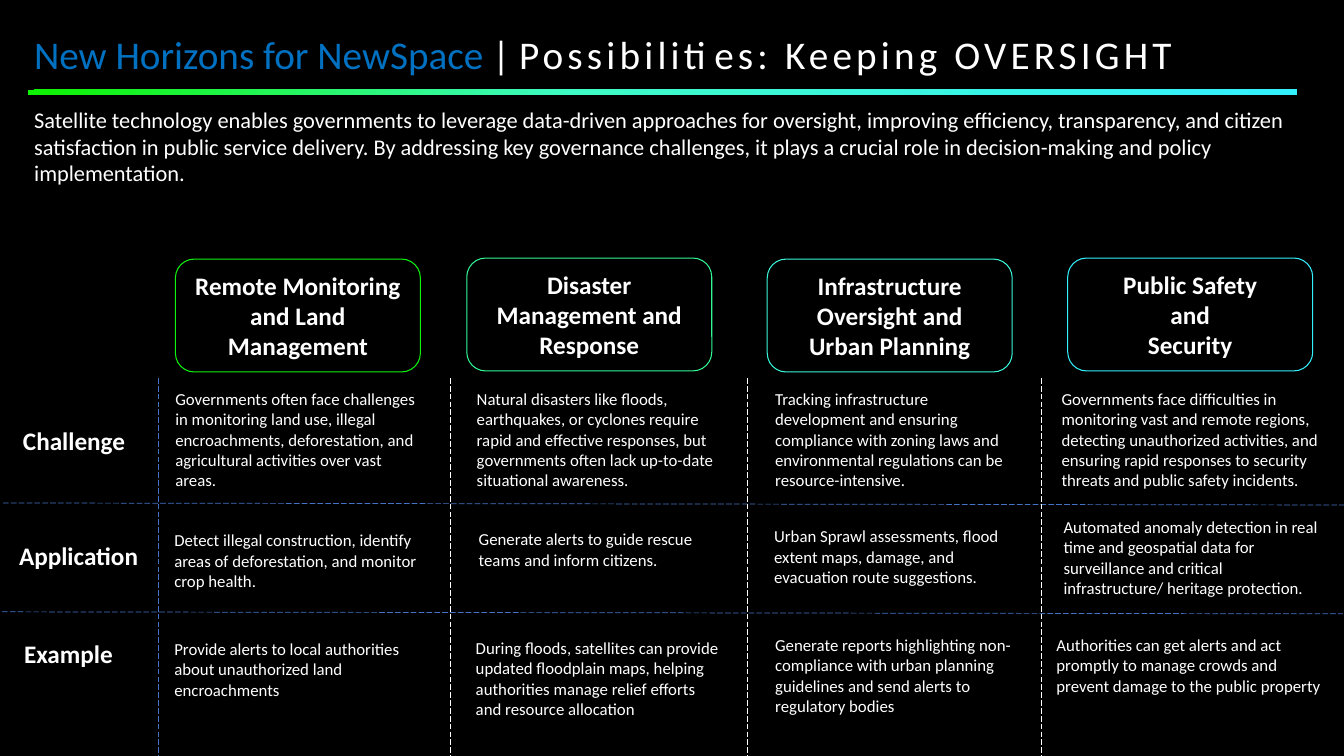
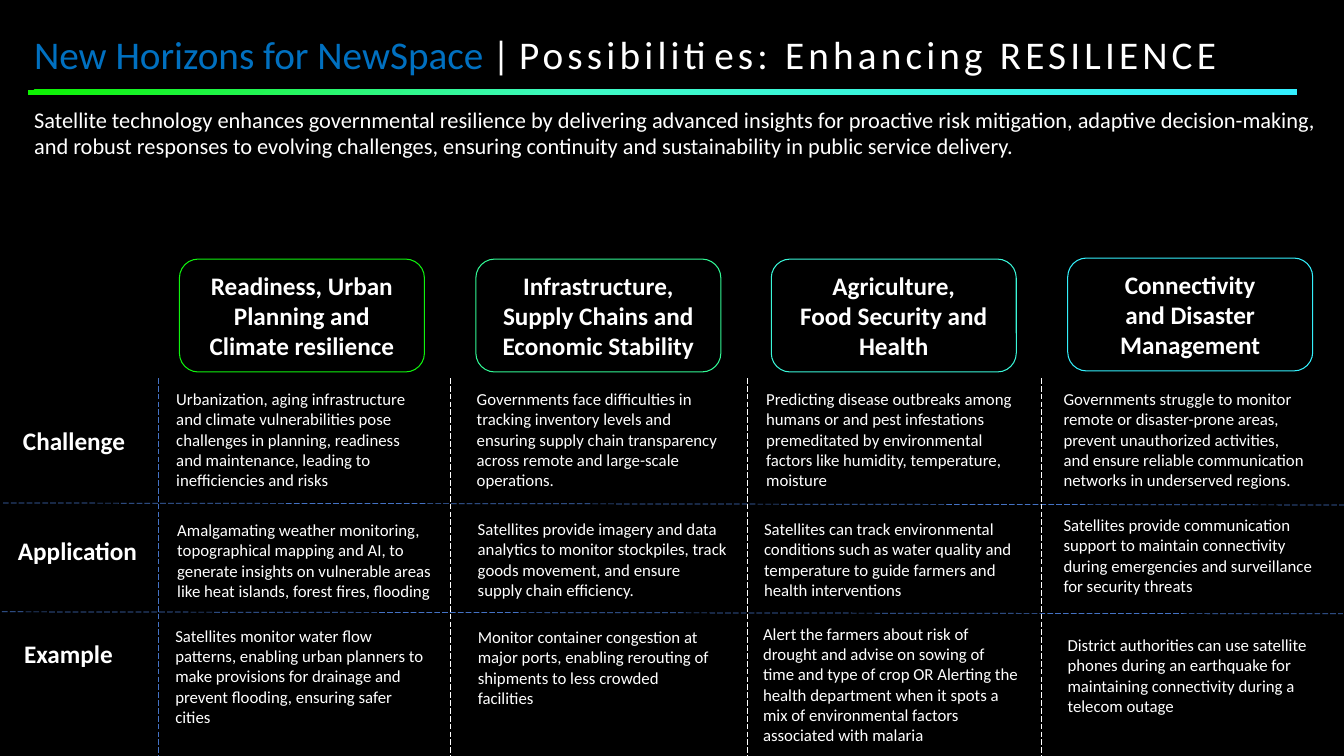
from dataclasses import dataclass

from lxml import etree
from pptx import Presentation
from pptx.dml.color import RGBColor
from pptx.enum.dml import MSO_LINE
from pptx.enum.shapes import MSO_CONNECTOR, MSO_SHAPE
from pptx.enum.text import MSO_ANCHOR, MSO_AUTO_SIZE, PP_ALIGN
from pptx.oxml import parse_xml
from pptx.oxml.ns import qn
from pptx.util import Pt

LONG_DASH = MSO_LINE.LONG_DASH
STRAIGHT = MSO_CONNECTOR.STRAIGHT
RECTANGLE, ROUNDED = MSO_SHAPE.RECTANGLE, MSO_SHAPE.ROUNDED_RECTANGLE
BOTTOM, MIDDLE = MSO_ANCHOR.BOTTOM, MSO_ANCHOR.MIDDLE
CENTER, LEFT = PP_ALIGN.CENTER, PP_ALIGN.LEFT
GROW = MSO_AUTO_SIZE.SHAPE_TO_FIT_TEXT
DRAWING = "http://schemas.openxmlformats.org/drawingml/2006/main"

PX = 9144  # 100 px to the inch
SLIDE_WIDTH, SLIDE_HEIGHT = 1333, 750


@dataclass(frozen=True)
class Theme:
    font: str = "Calibri"
    background: str = "000000"
    text: str = "FFFFFF"
    brand: str = "0070C0"
    grid: str = "4472C4"
    headings: tuple = ("10F30E", "32F895", "3AF7D9", "34F0FC")
    bar: tuple = ((0, "33F0FF"), (57, "3EFAC5"), (100, "0DF200"))
    title_size: int = 28
    heading_size: int = 18
    intro_size: int = 16
    body_size: int = 12


THEME = Theme()

# Grid: left edge of each column, top of each row
COLUMNS = (157, 447, 741, 1033)
ROWS = (375, 500, 608)
HEADING_SIZE = (243, 112)


@dataclass(frozen=True)
class Cell:
    """Text with its offset from the corner of its grid cell."""
    dx: int
    dy: int
    width: int
    lines: int
    text: str


@dataclass(frozen=True)
class Column:
    """Heading offset from the top of the column, heading and cells."""
    dx: int
    dy: int
    heading: tuple
    cells: tuple


def color(value):
    return RGBColor.from_string(value)


def px(*lengths):
    return [length * PX for length in lengths]


def style(paragraph, size, bold=False, align=LEFT):
    paragraph.alignment = align
    font = paragraph.font
    font.name, font.size, font.bold = THEME.font, Pt(size), bold
    font.color.rgb = color(THEME.text)


def add_text(slide, box, text, size, bold=False):
    frame = slide.shapes.add_textbox(*px(*box)).text_frame
    frame.word_wrap = True
    frame.auto_size = GROW
    paragraph = frame.paragraphs[0]
    paragraph.text = text
    style(paragraph, size, bold)


def add_dashed_line(slide, start, end, line_color):
    connector = slide.shapes.add_connector(STRAIGHT, *px(*start, *end))
    connector.line.color.rgb = color(line_color)
    connector.line.width = Pt(0.5)
    connector.line.dash_style = LONG_DASH
    etree.SubElement(connector._element.spPr, qn("a:effectLst"))


def add_header(slide, left, topic):
    # Title in three runs
    frame = slide.shapes.add_textbox(*px(left, -1, 1280, 83)).text_frame
    frame.word_wrap = True
    frame.vertical_anchor = BOTTOM
    paragraph = frame.paragraphs[0]
    style(paragraph, THEME.title_size)
    paragraph.line_spacing = 1.2
    paragraph.space_after = Pt(6)
    for text in ("New Horizons for NewSpace ", "| ", f"Possibilities: {topic}"):
        run = paragraph.add_run()
        run.text = text
    paragraph.runs[0].font.color.rgb = color(THEME.brand)
    run._r.get_or_add_rPr().set("spc", "300")

    # Gradient bar, spreading from its right end
    bar = slide.shapes.add_shape(RECTANGLE, *px(left + 4, 89, 1258, 5))
    bar.shadow.inherit = False
    bar.line.fill.background()
    bar.fill.gradient()
    stops = "".join(
        f'<a:gs pos="{position * 1000}"><a:srgbClr val="{value}"/></a:gs>'
        for position, value in THEME.bar)
    gradient = parse_xml(
        f'<a:gradFill xmlns:a="{DRAWING}" rotWithShape="1"><a:gsLst>{stops}</a:gsLst>'
        '<a:path path="circle"><a:fillToRect l="100000" t="100000"/></a:path>'
        '</a:gradFill>')
    properties = bar._element.spPr
    properties.replace(properties.find(qn("a:gradFill")), gradient)


def add_grid(slide, application_box):
    # Row rules, falling slightly to the right
    for left, top in ((3, ROWS[1] - 1), (2, ROWS[2] - 1)):
        add_dashed_line(slide, (left, top), (left + 1330, top + 2), THEME.grid)
    # Column rules
    for index, left in enumerate(COLUMNS):
        line_color = THEME.text if index else THEME.grid
        add_dashed_line(slide, (left, ROWS[0]), (left, SLIDE_HEIGHT), line_color)
    # Row labels
    labels = (("Challenge", (13, 417, 133, 40)),
              ("Application", application_box),
              ("Example", (14, 628, 116, 40)))
    for text, box in labels:
        add_text(slide, box, text, THEME.heading_size, bold=True)


def add_column(slide, left, column, outline):
    # Heading
    box = (left + column.dx, ROWS[0] + column.dy, *HEADING_SIZE)
    shape = slide.shapes.add_shape(ROUNDED, *px(*box))
    shape.shadow.inherit = False
    shape.fill.background()
    shape.line.color.rgb = color(outline)
    shape.line.width = Pt(0.75)
    frame = shape.text_frame
    frame.word_wrap = True
    frame.auto_size = GROW
    frame.vertical_anchor = MIDDLE
    frame.text = "\n".join(column.heading)
    for paragraph in frame.paragraphs:
        style(paragraph, THEME.heading_size, True, CENTER)
    # Challenge, application and example
    for top, cell in zip(ROWS, column.cells):
        height = 10 + round(20.2 * cell.lines)
        add_text(slide, (left + cell.dx, top + cell.dy, cell.width, height),
                 cell.text, THEME.body_size)


def add_possibilities_slide(presentation, topic, intro, intro_lines,
                            application_box, columns):
    slide = presentation.slides.add_slide(presentation.slide_layouts[6])
    add_header(slide, 24, topic)
    add_text(slide, (24, 100, 1309, 10 + 27 * intro_lines), intro, THEME.intro_size)
    add_grid(slide, application_box)
    for left, column, outline in zip(COLUMNS, columns, THEME.headings):
        add_column(slide, left, column, outline)


OVERSIGHT = (
    Column(17, -118, ("Remote Monitoring and Land Management",), (
        Cell(7, 6, 268, 5, "Governments often face challenges in monitoring land use, "
             "illegal encroachments, deforestation, and agricultural activities over "
             "vast areas."),
        Cell(6, 21, 272, 3, "Detect illegal construction, identify areas of "
             "deforestation, and monitor crop health."),
        Cell(6, 21, 262, 3, "Provide alerts to local authorities about unauthorized "
             "land encroachments"))),
    Column(16, -119, ("Disaster Management and Response",), (
        Cell(16, 6, 261, 5, "Natural disasters like floods, earthquakes, or cyclones "
             "require rapid and effective responses, but governments often lack "
             "up-to-date situational awareness."),
        Cell(18, 20, 267, 2, "Generate alerts to guide rescue teams and inform "
             "citizens."),
        Cell(15, 20, 262, 4, "During floods, satellites can provide updated floodplain "
             "maps, helping authorities manage relief efforts and resource "
             "allocation"))),
    Column(20, -118, ("Infrastructure Oversight and Urban Planning",), (
        Cell(18, 6, 263, 5, "Tracking infrastructure development and ensuring "
             "compliance with zoning laws and environmental regulations can be "
             "resource-intensive."),
        Cell(17, 17, 267, 3, "Urban Sprawl assessments, flood extent maps, damage, and "
             "evacuation route suggestions."),
        Cell(18, 17, 263, 4, "Generate reports highlighting non-compliance with urban "
             "planning guidelines and send alerts to regulatory bodies"))),
    Column(26, -119, ("Public Safety", "and", "Security"), (
        Cell(10, 6, 281, 5, "Governments face difficulties in monitoring vast and "
             "remote regions, detecting unauthorized activities, and ensuring rapid "
             "responses to security threats and public safety incidents."),
        Cell(12, 8, 280, 4, "Automated anomaly detection in real time and geospatial "
             "data for surveillance and critical infrastructure/ heritage "
             "protection."),
        Cell(5, 17, 284, 3, "Authorities can get alerts and act promptly to manage "
             "crowds and prevent damage to the public property"))),
)

RESILIENCE = (
    Column(21, -118, ("Readiness, Urban Planning and", "Climate resilience"), (
        Cell(8, 6, 266, 5, "Urbanization, aging infrastructure and climate "
             "vulnerabilities pose challenges in planning, readiness and maintenance, "
             "leading to inefficiencies and risks"),
        Cell(9, 11, 276, 4, "Amalgamating weather monitoring, topographical mapping "
             "and AI, to generate insights on vulnerable areas like heat islands, "
             "forest fires, flooding"),
        Cell(7, 8, 268, 5, "Satellites monitor water flow patterns, enabling urban "
             "planners to make provisions for drainage and prevent flooding, ensuring "
             "safer cities"))),
    Column(25, -118, ("Infrastructure, Supply Chains and Economic Stability",), (
        Cell(16, 6, 261, 5, "Governments face difficulties in tracking inventory "
             "levels and ensuring supply chain transparency across remote and "
             "large-scale operations."),
        Cell(17, 10, 267, 4, "Satellites provide imagery and data analytics to monitor "
             "stockpiles, track goods movement, and ensure supply chain efficiency."),
        Cell(17, 9, 251, 4, "Monitor container congestion at major ports, enabling "
             "rerouting of shipments to less crowded facilities"))),
    Column(24, -118, ("Agriculture,", "Food Security and Health"), (
        Cell(9, 6, 272, 5, "Predicting disease outbreaks among humans or and pest "
             "infestations premeditated by environmental factors like humidity, "
             "temperature, moisture"),
        Cell(7, 10, 267, 4, "Satellites can track environmental conditions such as "
             "water quality and temperature to guide farmers and health "
             "interventions"),
        Cell(6, 6, 274, 6, "Alert the farmers about risk of drought and advise on "
             "sowing of time and type of crop OR Alerting the health department when "
             "it spots a mix of environmental factors associated with malaria"))),
    Column(26, -119, ("Connectivity", "and Disaster Management"), (
        Cell(12, 6, 263, 5, "Governments struggle to monitor remote or disaster-prone "
             "areas, prevent unauthorized activities, and ensure reliable "
             "communication networks in underserved regions."),
        Cell(12, 6, 277, 4, "Satellites provide communication support to maintain "
             "connectivity during emergencies and surveillance for security threats"),
        Cell(16, 17, 263, 4, "District authorities can use satellite phones during an "
             "earthquake for maintaining connectivity during a telecom outage"))),
)


def main():
    presentation = Presentation()
    presentation.slide_width, presentation.slide_height = px(SLIDE_WIDTH, SLIDE_HEIGHT)
    background = presentation.slide_master.background.fill
    background.solid()
    background.fore_color.rgb = color(THEME.background)

    add_possibilities_slide(
        presentation, "Keeping OVERSIGHT",
        "Satellite technology enables governments to leverage data-driven approaches "
        "for oversight, improving efficiency, transparency, and citizen satisfaction in "
        "public service delivery. By addressing key governance challenges, it plays a "
        "crucial role in decision-making and policy implementation.",
        3, (9, 531, 151, 40), OVERSIGHT)
    add_possibilities_slide(
        presentation, "Enhancing RESILIENCE",
        "Satellite technology enhances governmental resilience by delivering advanced "
        "insights for proactive risk mitigation, adaptive decision-making, and robust "
        "responses to evolving challenges, ensuring continuity and sustainability in "
        "public service delivery.",
        2, (8, 526, 151, 40), RESILIENCE)
    presentation.save("out.pptx")


if __name__ == "__main__":
    main()
